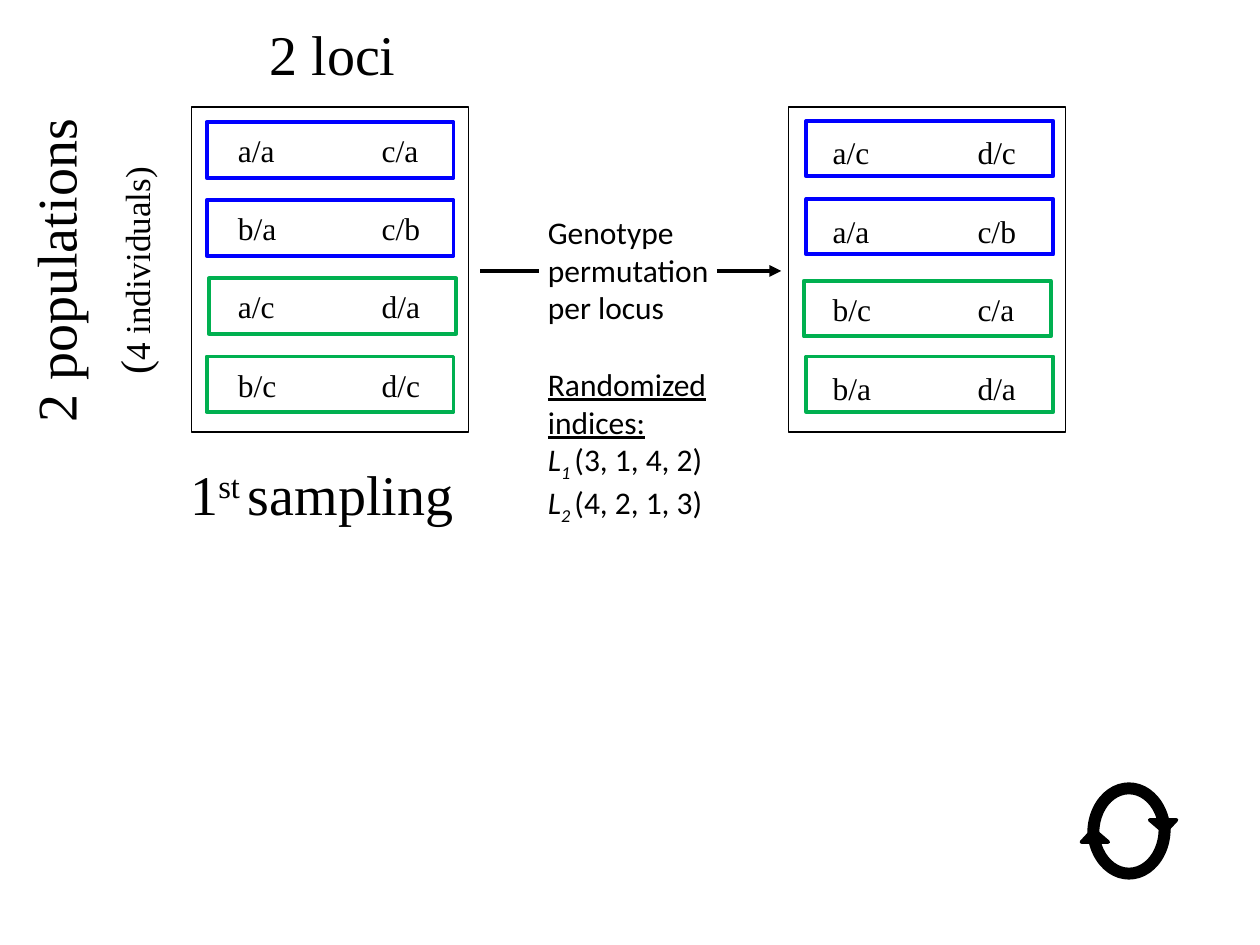
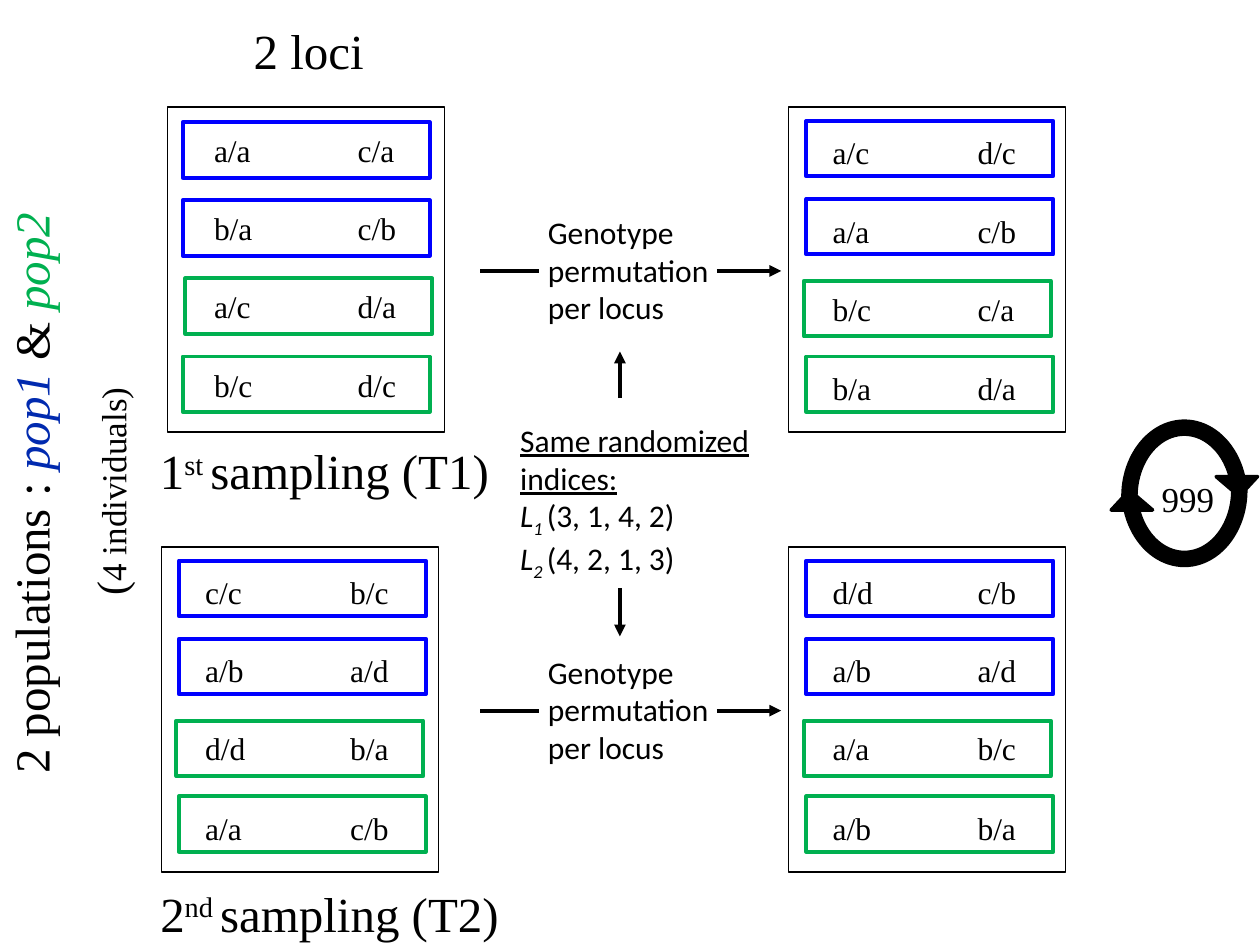
import pptx
import pptx.util
import pptx.dml.color
import pptx.enum.shapes
import pptx.enum.text
import pptx.oxml
import pptx.oxml.ns

RGB = pptx.dml.color.RGBColor
SHAPE = pptx.enum.shapes.MSO_SHAPE
ALIGN = pptx.enum.text.PP_ALIGN

# Shared look
BLACK, WHITE = RGB(0, 0, 0), RGB(255, 255, 255)
POP1_BOX, POP1_TEXT = RGB(0, 0, 255), RGB(0x01, 0x2A, 0xAF)
POP2 = RGB(0, 0xB0, 0x50)
SERIF, SANS = "Times New Roman", "Calibri"
EMU_PER_PX = 9144  # 100 px to the inch

# Content: genotypes (locus 1, locus 2) of the four individuals
FIRST_SAMPLING = [("a/a", "c/a"), ("b/a", "c/b"), ("a/c", "d/a"), ("b/c", "d/c")]
FIRST_PERMUTED = [("a/c", "d/c"), ("a/a", "c/b"), ("b/c", "c/a"), ("b/a", "d/a")]
SECOND_SAMPLING = [("c/c", "b/c"), ("a/b", "a/d"), ("d/d", "b/a"), ("a/a", "c/b")]
SECOND_PERMUTED = [("d/d", "c/b"), ("a/b", "a/d"), ("a/a", "b/c"), ("a/b", "b/a")]

SUPER, SUB = {"baseline": 30000}, {"baseline": -25000, "italic": True}
PERMUTATION = ["Genotype permutation per locus"]
INDICES = [
    [("L", {"italic": True}), ("1 ", SUB), "(3, 1, 4, 2)"],
    [("L", {"italic": True}), ("2 ", SUB), "(4, 2, 1, 3)"],
]
INDIVIDUALS = [[("(", {"size": 24}), "4 individuals)"]]
POPULATIONS = [[
    "2 populations : ", ("pop1 ", {"italic": True, "color": POP1_TEXT}),
    "&", (" pop2", {"italic": True, "color": POP2}),
]]

# Panel geometry, relative to the frame's corner
FRAME_SIZE = (220, 258)
ROW_SIZE = (196, 44)
ROW_COLORS = [POP1_BOX, POP1_BOX, POP2, POP2]
OBSERVED = {"rows": [(12, 12), (12, 74), (14, 136), (12, 198)],
            "loci": (27, 141), "text_top": 14}
PERMUTED = {"rows": [(14, 11), (14, 73), (12, 138), (14, 198)],
            "loci": (25, 140), "text_top": 16}
TEXT_PITCH = 62.25


def px(*lengths):
    return [pptx.util.Emu(round(length * EMU_PER_PX)) for length in lengths]


def write(slide, at, paragraphs, size=18, font=SERIF, align=None, wrap=True,
          rotation=0, gaps=None):
    """Add a text box; a run is a string or a (string, format) pair."""
    box = slide.shapes.add_textbox(*px(*at))
    box.rotation = rotation
    frame = box.text_frame
    frame.word_wrap = wrap
    frame.auto_size = pptx.enum.text.MSO_AUTO_SIZE.SHAPE_TO_FIT_TEXT
    for index, runs in enumerate(paragraphs):
        paragraph = frame.add_paragraph() if index else frame.paragraphs[0]
        paragraph.alignment = align
        if gaps and index in gaps:
            paragraph.space_before = pptx.util.Pt(gaps[index])
        for part in [runs] if isinstance(runs, str) else runs:
            words, look = (part, {}) if isinstance(part, str) else part
            run = paragraph.add_run()
            run.text = words
            run.font.name = font
            run.font.size = pptx.util.Pt(look.get("size", size))
            run.font.color.rgb = look.get("color", BLACK)
            run.font.italic = look.get("italic")
            run.font.underline = look.get("underline")
            if "baseline" in look:
                run._r.get_or_add_rPr().set("baseline", str(look["baseline"]))


def draw(slide, kind, at, line, width, fill=None):
    shape = slide.shapes.add_shape(kind, *px(*at))
    shape.shadow.inherit = False
    shape.line.color.rgb = line
    shape.line.width = pptx.util.Pt(width)
    if fill is None:
        shape.fill.background()
    else:
        shape.fill.solid()
        shape.fill.fore_color.rgb = fill
    return shape


def connect(slide, start, end, arrow=True):
    connector = slide.shapes.add_connector(
        pptx.enum.shapes.MSO_CONNECTOR.STRAIGHT, *px(*start, *end))
    connector.line.color.rgb = BLACK
    connector.line.width = pptx.util.Pt(2.25)
    qn, element = pptx.oxml.ns.qn, pptx.oxml.parse_xml
    ns = pptx.oxml.ns.nsdecls("a")
    properties = connector.element.find(qn("p:spPr"))
    if arrow:
        properties.find(qn("a:ln")).append(element(f'<a:tailEnd {ns} type="triangle"/>'))
    properties.append(element(f"<a:effectLst {ns}/>"))


def panel(slide, left, top, genotypes, layout):
    draw(slide, SHAPE.RECTANGLE, (left, top, *FRAME_SIZE), BLACK, 0.75, WHITE)
    rows = zip(genotypes, layout["rows"], ROW_COLORS)
    for index, (loci, (dx, dy), color) in enumerate(rows):
        draw(slide, SHAPE.RECTANGLE, (left + dx, top + dy, *ROW_SIZE), color, 2.25)
        text_top = top + layout["text_top"] + round(index * TEXT_PITCH)
        for genotype, locus_x in zip(loci, layout["loci"]):
            write(slide, (left + locus_x, text_top, 55, 40), [genotype])


def permutation_step(slide, y, paragraphs, height=162, gaps=None):
    connect(slide, (381, y), (428, y), arrow=False)
    connect(slide, (569, y), (620, y))
    write(slide, (425, y - 51, 167, height), paragraphs, font=SANS, gaps=gaps)


def repeat_cycle(slide, left, top, width, height, shift):
    for rotation, dy in ((180, 0), (0, shift)):
        arrow = draw(slide, SHAPE.CIRCULAR_ARROW, (left, top + dy, width, height),
                     BLACK, 2, BLACK)
        arrow.rotation = rotation
        for index, value in enumerate((0.086, 12.368, 203.57, 108, 0.137)):
            arrow.adjustments[index] = value


def label(slide, at, paragraphs, size, **look):
    write(slide, at, paragraphs, size=size, align=ALIGN.CENTER, **look)


def side_label(slide, at, paragraphs, size):
    label(slide, at, paragraphs, size, wrap=False, rotation=270)


def one_sampling(slide):
    panel(slide, 152, 85, FIRST_SAMPLING, OBSERVED)
    panel(slide, 626, 85, FIRST_PERMUTED, PERMUTED)
    label(slide, (96, 11, 336, 64), ["2 loci"], 32)
    label(slide, (131, 360, 249, 64), [["1", ("st ", SUPER), "sampling"]], 32)
    side_label(slide, (-88, 183, 263, 64), ["2 populations"], 32)
    side_label(slide, (13, 190, 186, 50), INDIVIDUALS, 20)
    heading = [("Randomized indices:", {"underline": True})]
    permutation_step(slide, 215, PERMUTATION + [heading] + INDICES, 252, gaps={1: 22})
    repeat_cycle(slide, 857, 612, 78, 92, shift=3)


def two_samplings(slide):
    # Both samplings and their permutations
    panel(slide, 133, 85, FIRST_SAMPLING, OBSERVED)
    panel(slide, 128, 434, SECOND_SAMPLING, PERMUTED)
    for top, genotypes in ((85, FIRST_PERMUTED), (434, SECOND_PERMUTED)):
        panel(slide, 626, top, genotypes, PERMUTED)
        permutation_step(slide, top + 130, PERMUTATION)
    # Labels
    label(slide, (77, 11, 336, 57), ["2 loci"], 28)
    label(slide, (112, 345, 291, 57), [["1", ("st ", SUPER), "sampling (T1)"]], 28)
    label(slide, (107, 696, 309, 57), [["2", ("nd ", SUPER), "sampling (T2)"]], 28)
    side_label(slide, (-211, 363, 470, 57), POPULATIONS, 28)
    side_label(slide, (-6, 365, 186, 50), INDIVIDUALS, 20)
    # Indices shared by both permutations
    heading = [("Same randomized indices:", {"underline": True})]
    write(slide, (403, 329, 213, 162), [heading] + INDICES, font=SANS)
    connect(slide, (492, 316), (492, 279))
    connect(slide, (492, 467), (492, 505))
    # Number of repeats
    repeat_cycle(slide, 880, 318, 120, 142, shift=5)
    write(slide, (912, 374, 69, 44), ["999"], size=20)


def main():
    deck = pptx.Presentation()
    deck.slide_width, deck.slide_height = px(1000, 750)
    blank = deck.slide_layouts[6]
    for build in (one_sampling, two_samplings):
        build(deck.slides.add_slide(blank))
    deck.save("out.pptx")


if __name__ == "__main__":
    main()
